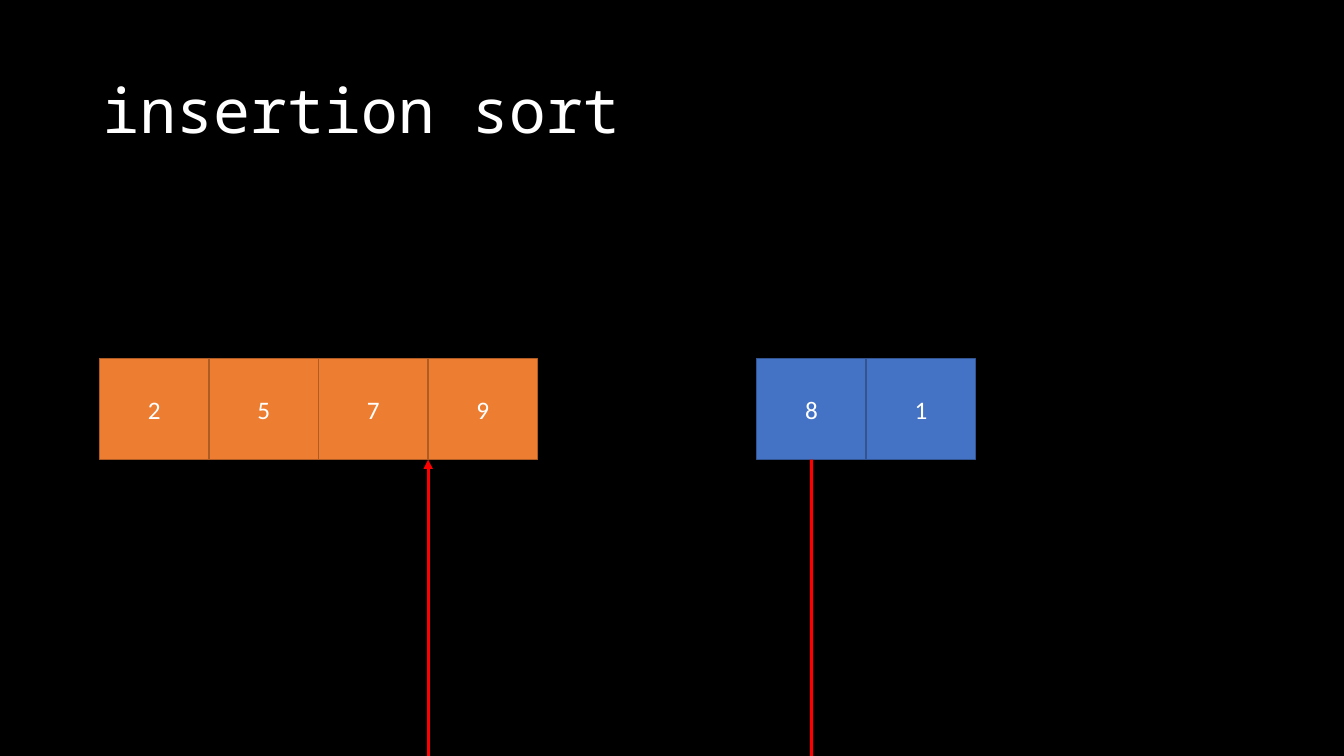
from dataclasses import dataclass

from lxml import etree
from pptx import Presentation
from pptx import util as u
from pptx.dml.color import RGBColor
from pptx.enum import shapes, text
from pptx.oxml.ns import qn


@dataclass(frozen=True)
class Theme:
    background: str = "000000"
    ink: str = "FFFFFF"
    arrow: str = "FF0000"
    title_font: str = "Noto Sans Mono"
    cell_font: str = "Calibri"
    title_size: float = 44
    cell_size: float = 18
    cell_line: float = 1
    arrow_line: float = 2.25


@dataclass(frozen=True)
class Run:
    """Neighbouring array cells, starting at a given slot."""
    first_slot: int
    values: tuple[int, ...]
    fill: str
    line: str


THEME = Theme()
SLIDE_W, SLIDE_H = 33.87, 19.05
ARRAY_LEFT, ARRAY_TOP = 2.51, 9.04
CELL_W, CELL_H = 2.76, 2.54
INSERT_SLOT = 3

SORTED = Run(0, (2, 5, 7, 9), "ED7D31", "AF5C24")
UNSORTED = Run(6, (8, 1), "4472C4", "325491")


def rgb(value: str) -> RGBColor:
    return RGBColor.from_string(value)


def slot_left(slot: int) -> float:
    return ARRAY_LEFT + slot * CELL_W


def style_text(p, font: str, size: float) -> None:
    p.font.name = font
    p.font.size = u.Pt(size)
    p.font.color.rgb = rgb(THEME.ink)


def add_title(s, title: str) -> None:
    sp = s.shapes.add_textbox(u.Cm(2.33), u.Cm(1.01), u.Cm(29.21), u.Cm(3.68))
    tf = sp.text_frame
    tf.word_wrap = True
    tf.vertical_anchor = text.MSO_ANCHOR.MIDDLE
    p = tf.paragraphs[0]
    p.text = title
    p.line_spacing = 0.9
    style_text(p, THEME.title_font, THEME.title_size)


def add_cells(s, run: Run) -> list:
    cells = []
    for slot, value in enumerate(run.values, run.first_slot):
        sp = s.shapes.add_shape(
            shapes.MSO_SHAPE.RECTANGLE, u.Cm(slot_left(slot)),
            u.Cm(ARRAY_TOP), u.Cm(CELL_W), u.Cm(CELL_H))
        sp.shadow.inherit = False
        sp.fill.solid()
        sp.fill.fore_color.rgb = rgb(run.fill)
        sp.line.color.rgb = rgb(run.line)
        sp.line.width = u.Pt(THEME.cell_line)
        tf = sp.text_frame
        tf.vertical_anchor = text.MSO_ANCHOR.MIDDLE
        p = tf.paragraphs[0]
        p.text = str(value)
        p.alignment = text.PP_ALIGN.CENTER
        style_text(p, THEME.cell_font, THEME.cell_size)
        cells.append(sp)
    return cells


def add_vertical(s, x: float, start_y: float, end_y: float, arrow: bool = False):
    line = s.shapes.add_connector(
        shapes.MSO_CONNECTOR.STRAIGHT,
        u.Cm(x), u.Cm(start_y), u.Cm(x), u.Cm(end_y))
    line.line.color.rgb = rgb(THEME.arrow)
    line.line.width = u.Pt(THEME.arrow_line)
    if arrow:
        etree.SubElement(line.line._get_or_add_ln(), qn("a:tailEnd"), type="triangle")
    etree.SubElement(line._element.spPr, qn("a:effectLst"))
    return line


def main() -> None:
    prs = Presentation()
    prs.slide_width, prs.slide_height = u.Cm(SLIDE_W), u.Cm(SLIDE_H)
    s = prs.slides.add_slide(prs.slide_layouts[6])
    s.background.fill.solid()
    s.background.fill.fore_color.rgb = rgb(THEME.background)

    # Title
    add_title(s, "insertion sort")

    # Sorted and unsorted parts of the array
    add_cells(s, SORTED)
    next_cell = add_cells(s, UNSORTED)[0]

    # Path of the next value down and back up to its insertion point
    bottom = ARRAY_TOP + CELL_H
    next_middle = slot_left(UNSORTED.first_slot) + CELL_W / 2
    leaving = add_vertical(s, next_middle, bottom, SLIDE_H)
    leaving.begin_connect(next_cell, 2)
    add_vertical(s, slot_left(INSERT_SLOT), SLIDE_H, bottom, arrow=True)

    prs.save("out.pptx")


if __name__ == "__main__":
    main()
